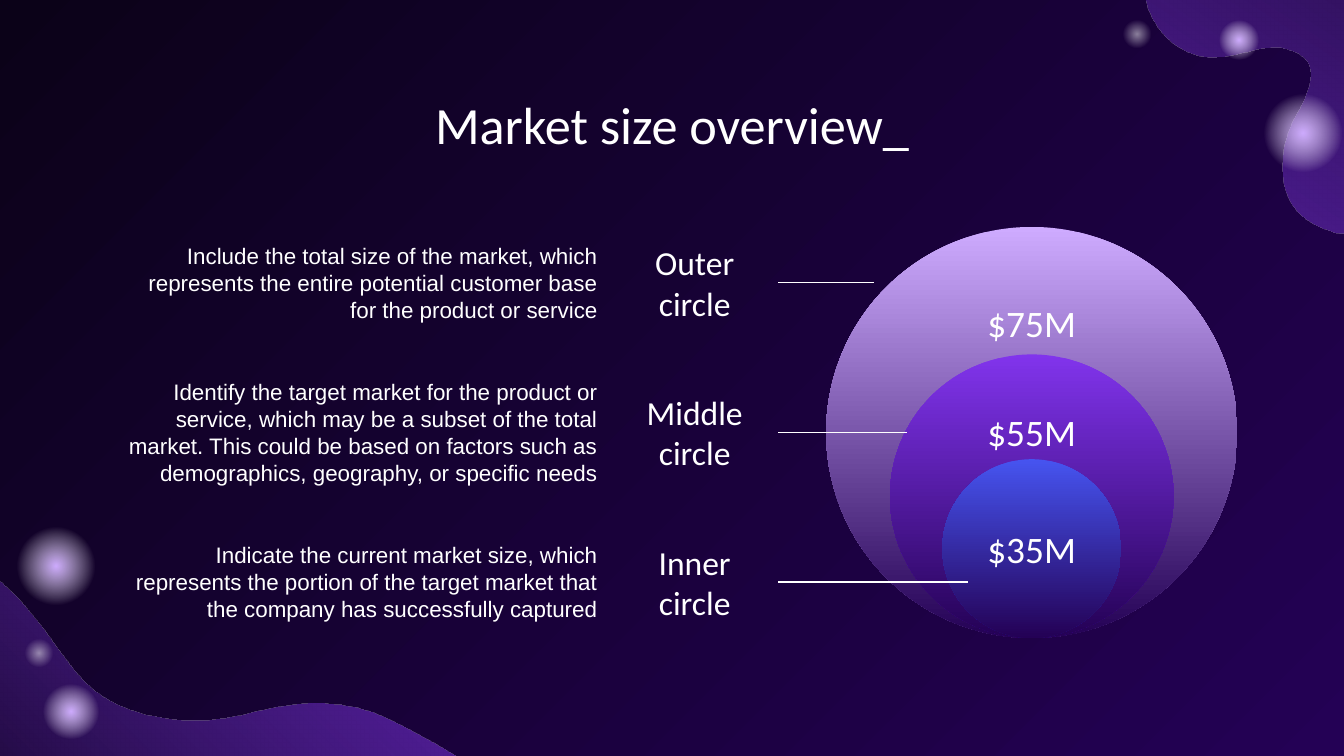
import math
from dataclasses import dataclass
from typing import NamedTuple

from lxml import etree
from pptx import Presentation
from pptx.dml.color import RGBColor
from pptx.enum import shapes, text
from pptx.oxml import ns
from pptx.util import Cm, Pt

A = ns.nsdecls("a")
TOP, MIDDLE = text.MSO_ANCHOR.TOP, text.MSO_ANCHOR.MIDDLE
CENTER, RIGHT = text.PP_ALIGN.CENTER, text.PP_ALIGN.RIGHT


@dataclass(frozen=True)
class Theme:
    night: str = "0B0218"
    indigo: str = "240155"
    violet: str = "8134EC"
    lilac: str = "CEABFF"
    blue: str = "4654F0"
    white: str = "FFFFFF"
    heading: str = "Calibri"
    body: str = "Arial"
    title_size: int = 28
    value_size: int = 20
    label_size: int = 18
    body_size: int = 12
    inset: float = 0.25


T = Theme()


class Stop(NamedTuple):
    position: int
    color: str
    opacity: int = 100


class Ring(NamedTuple):
    value: str
    diameter: float
    color: str
    anchor: text.MSO_ANCHOR


class Row(NamedTuple):
    label: str
    description: str
    line_end: float


class Glow(NamedTuple):
    x: float
    y: float
    diameter: float
    core: Stop = Stop(0, T.lilac)


class Blob(NamedTuple):
    """Outline in inches: six numbers are a Bezier curve, two a straight line."""
    start: tuple
    segments: list
    angle: int
    rotation: float = 0


RINGS = [
    Ring("$75M", 7.77, T.lilac, TOP),
    Ring("$55M", 5.36, T.violet, TOP),
    Ring("$35M", 3.38, T.blue, MIDDLE),
]
RING_X, RING_BOTTOM = 19.5, 12.06

ROWS = [
    Row("Outer circle", "Include the total size of the market, which represents the entire "
        "potential customer base for the product or service", 16.51),
    Row("Middle circle", "Identify the target market for the product or service, which may be "
        "a subset of the total market. This could be based on factors such as demographics, "
        "geography, or specific needs", 17.15),
    Row("Inner circle", "Indicate the current market size, which represents the portion of the "
        "target market that the company has successfully captured", 18.29),
]
ROW_TOP, ROW_PITCH, ROW_HEIGHT = 4.21, 2.83, 2.26
BODY_X, LABEL_X, LINE_X = 1.97, 11.55, 14.71

PALE = Stop(0, T.white, 50)
GLOWS = [
    Glow(1.06, 10.7, 1.83), Glow(1.34, 13.45, 1.3), Glow(0.74, 12.34, 0.66, PALE),
    Glow(23.42, 0.76, 0.91), Glow(24.62, 2.51, 1.83), Glow(21.49, 0.64, 0.66, PALE),
]

BLOBS = [
    Blob((8.28, -0.9), [
        (8.35, -0.84, 8.42, -0.76, 8.45, -0.68), (8.5, -0.56, 8.5, -0.43, 8.5, -0.29),
        (8.5, -0.2, 8.5, -0.11, 8.52, -0.02), (8.57, 0.21, 8.72, 0.37, 8.94, 0.42),
        (9.17, 0.47, 9.39, 0.29, 9.62, 0.38), (9.88, 0.48, 9.69, 0.76, 9.61, 0.92),
        (9.52, 1.11, 9.5, 1.4, 9.65, 1.57), (9.72, 1.65, 9.84, 1.7, 9.94, 1.73),
        (10.06, 1.75, 10.18, 1.72, 10.3, 1.74), (10.4, 1.75, 10.54, 1.8, 10.61, 1.89),
        (10.68, 1.99, 10.71, 2.11, 10.75, 2.22), (10.91, 2.66, 11.3, 3.05, 11.78, 3.14),
        (11.84, 3.15, 11.93, 3.16, 11.99, 3.14), (10.93, -1.81), (7.92, -1.09),
        (8.04, -1.08, 8.2, -0.97, 8.28, -0.9)], 225, 257.9),
    Blob((-0.29, 4.13), [
        (-0.01, 4.28, 0.15, 4.46, 0.33, 4.69), (0.48, 4.89, 0.6, 5.11, 0.85, 5.23),
        (1.11, 5.36, 1.5, 5.39, 1.79, 5.32), (2.1, 5.23, 2.47, 5.18, 2.78, 5.3),
        (3.09, 5.43, 3.39, 5.62, 3.67, 5.79), (3.85, 5.91, 4.03, 6.03, 4.2, 6.17),
        (-1.29, 6.17), (-1.3, 3.93), (-1.24, 3.91, -1.17, 3.9, -1.1, 3.9),
        (-0.82, 3.9, -0.51, 4.02, -0.29, 4.13)], 315),
]


def paint(fill, owner, stops: list[Stop], angle: int | None = None) -> None:
    """Fill with a linear gradient, or a radial one when no angle is given."""
    fill.gradient()
    old = next(owner.iter(ns.qn("a:gradFill")))
    marks = "".join(
        f'<a:gs pos="{g.position * 1000}"><a:srgbClr val="{g.color}">'
        f'<a:alpha val="{g.opacity * 1000}"/></a:srgbClr></a:gs>' for g in stops)
    if angle is None:
        shade = ('<a:path path="circle"><a:fillToRect l="50000" t="50000" '
                 'r="50000" b="50000"/></a:path>')
    else:
        shade = f'<a:lin ang="{angle * 60000}" scaled="0"/>'
    new = etree.fromstring(
        f'<a:gradFill {A} rotWithShape="1"><a:gsLst>{marks}</a:gsLst>{shade}</a:gradFill>')
    old.getparent().replace(old, new)


def write(sp, words: str, size: int, font: str = T.heading, align=CENTER, anchor=MIDDLE) -> None:
    tf = sp.text_frame
    tf.text = words
    tf.word_wrap = True
    tf.auto_size = text.MSO_AUTO_SIZE.NONE
    tf.vertical_anchor = anchor
    tf.margin_left = tf.margin_right = tf.margin_top = tf.margin_bottom = Cm(T.inset)
    p = tf.paragraphs[0]
    p.alignment = align
    r = p.runs[0]
    r.font.size, r.font.name, r.font.bold = Pt(size), font, False
    r.font.color.rgb = RGBColor.from_string(T.white)


def add_circle(s, x: float, y: float, diameter: float):
    radius = diameter / 2
    sp = s.shapes.add_shape(shapes.MSO_SHAPE.OVAL, Cm(x - radius), Cm(y - radius),
                            Cm(diameter), Cm(diameter))
    sp.shadow.inherit = False
    sp.line.fill.background()
    return sp


def turned(x: float, y: float, degrees: float) -> tuple[float, float]:
    a = math.radians(degrees)
    return x * math.cos(a) - y * math.sin(a), x * math.sin(a) + y * math.cos(a)


def bend(sp, segments: list) -> None:
    """Join each three straight steps of a curve segment into one Bezier step."""
    steps = iter(list(sp.element.iter(ns.qn("a:lnTo"))))
    for seg in segments:
        first = next(steps)
        if len(seg) == 6:
            first.tag = ns.qn("a:cubicBezTo")
            for _ in range(2):
                step = next(steps)
                first.append(step[0])
                step.getparent().remove(step)


def add_blob(s, blob: Blob) -> None:
    flat = [pt for seg in blob.segments for pt in zip(seg[::2], seg[1::2])]
    first, *rest = [tuple(Cm(2.54 * v) for v in turned(x, y, -blob.rotation))
                    for x, y in [blob.start, *flat]]
    fb = s.shapes.build_freeform(*first)
    fb.add_line_segments(rest, close=True)
    sp = fb.convert_to_shape()
    bend(sp, blob.segments)
    x, y = turned(sp.left + sp.width / 2, sp.top + sp.height / 2, blob.rotation)
    sp.left, sp.top = round(x - sp.width / 2), round(y - sp.height / 2)
    sp.rotation = blob.rotation
    sp.shadow.inherit = False
    sp.line.fill.background()
    paint(sp.fill, sp.element, [Stop(0, T.night), Stop(100, T.violet, 70)], blob.angle)


def add_glow(s, glow: Glow) -> None:
    sp = add_circle(s, glow.x, glow.y, glow.diameter)
    paint(sp.fill, sp.element, [glow.core, Stop(57, T.white, 0), Stop(100, T.white, 0)])


def add_ring(s, ring: Ring) -> None:
    sp = add_circle(s, RING_X, RING_BOTTOM - ring.diameter / 2, ring.diameter)
    paint(sp.fill, sp.element, [Stop(0, ring.color), Stop(100, T.indigo)], 90)
    write(sp, ring.value, T.value_size, anchor=ring.anchor)


def add_row(s, row: Row, top: float) -> None:
    box = s.shapes.add_textbox(Cm(BODY_X), Cm(top), Cm(LABEL_X - BODY_X), Cm(ROW_HEIGHT))
    write(box, row.description, T.body_size, T.body, RIGHT)
    box = s.shapes.add_textbox(Cm(LABEL_X), Cm(top), Cm(LINE_X - LABEL_X), Cm(ROW_HEIGHT))
    write(box, row.label, T.label_size)
    y = Cm(top + ROW_HEIGHT / 2)
    line = s.shapes.add_connector(shapes.MSO_CONNECTOR.STRAIGHT, Cm(LINE_X), y,
                                  Cm(row.line_end), y)
    line.line.color.rgb = RGBColor.from_string(T.white)
    line.line.width = Pt(0.75)
    etree.SubElement(line.element.spPr, ns.qn("a:effectLst"))


def main() -> None:
    prs = Presentation()
    prs.slide_width, prs.slide_height = Cm(25.4), Cm(14.29)
    s = prs.slides.add_slide(prs.slide_layouts[5])
    paint(s.background.fill, s.element, [Stop(0, T.night), Stop(100, T.indigo)], 45)
    for blob in BLOBS:
        add_blob(s, blob)
    for glow in GLOWS:
        add_glow(s, glow)
    title = s.shapes.title
    title.left, title.top, title.width, title.height = Cm(2), Cm(1.5), Cm(21.4), Cm(1.6)
    write(title, "Market size overview_", T.title_size, anchor=TOP)
    for ring in RINGS:
        add_ring(s, ring)
    for i, row in enumerate(ROWS):
        add_row(s, row, ROW_TOP + i * ROW_PITCH)
    prs.save("out.pptx")


if __name__ == "__main__":
    main()
